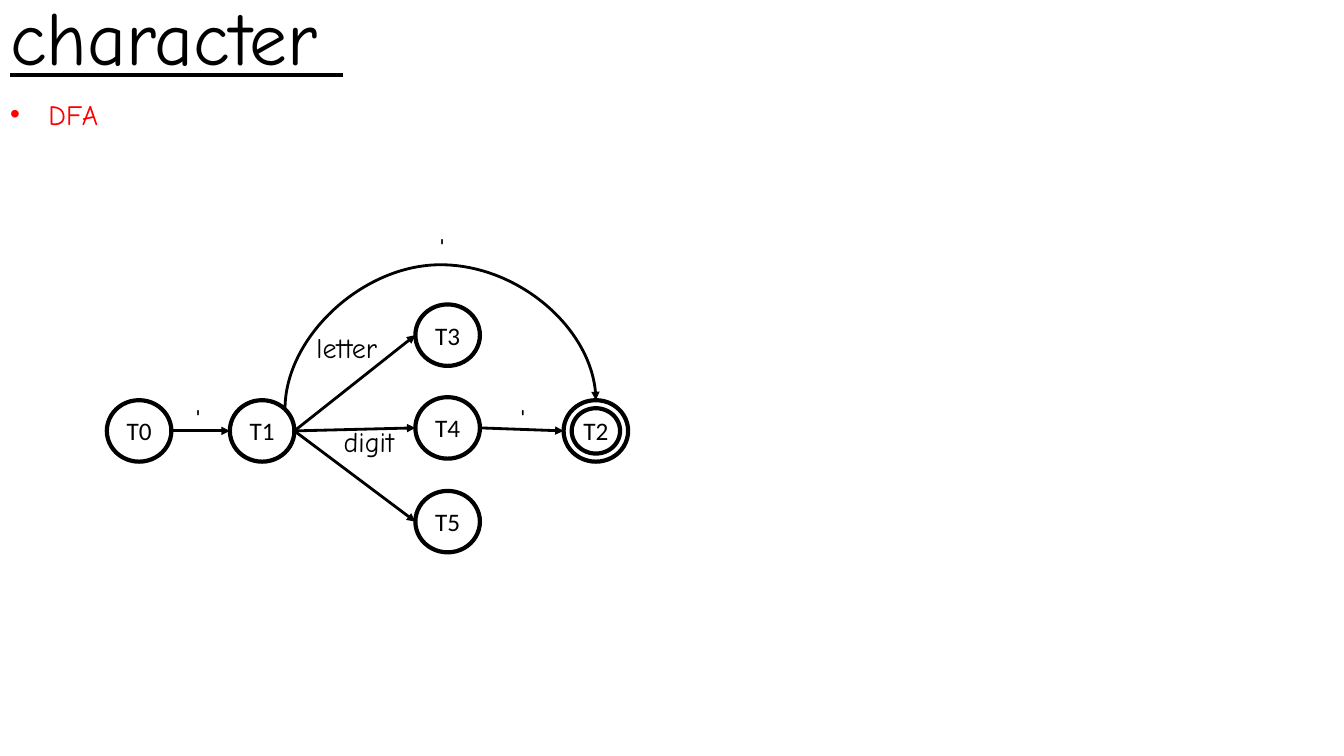
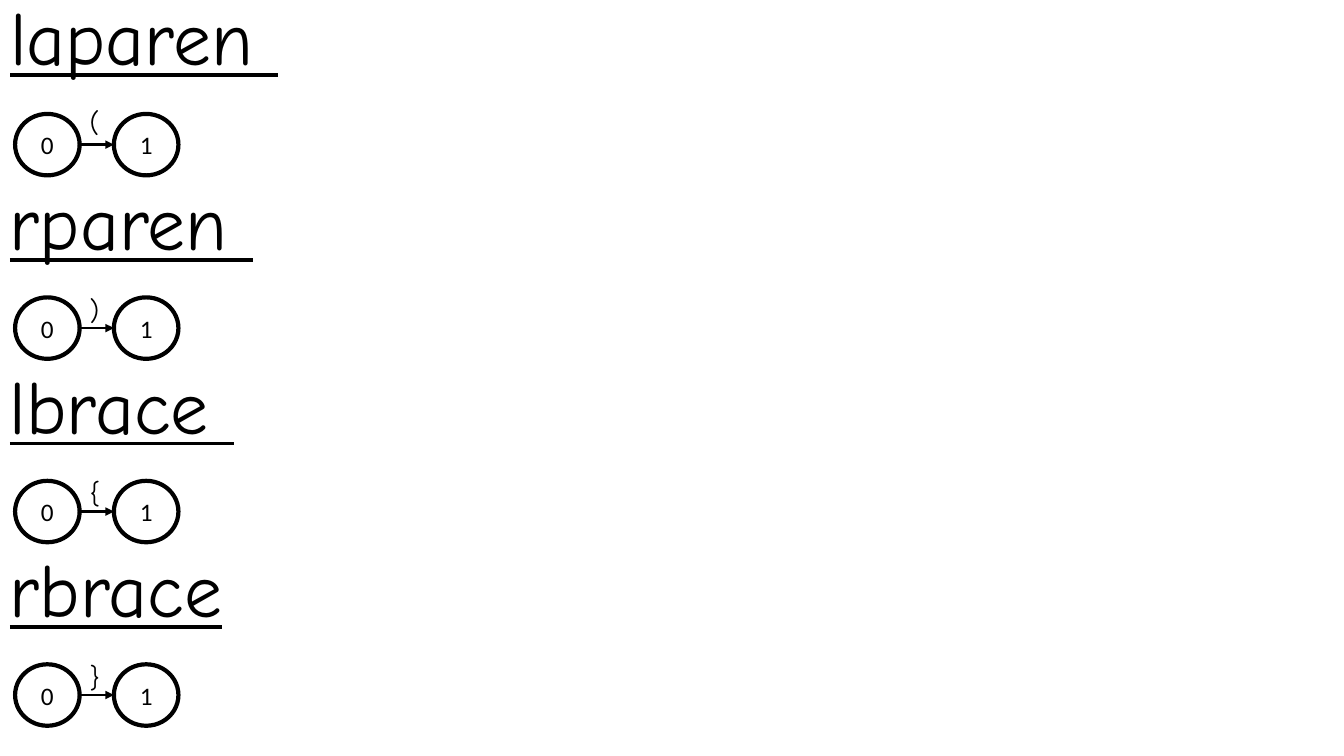
from lxml.etree import SubElement as Sub
from pptx import Presentation as Deck
from pptx.dml.color import RGBColor as Rgb
from pptx.enum.shapes import MSO_CONNECTOR as Wire, MSO_SHAPE as Form
from pptx.enum.text import MSO_ANCHOR as Anchor, MSO_AUTO_SIZE as Fit, PP_ALIGN as Align
from pptx.oxml.ns import qn
from pptx.util import Inches, Pt

HAND, PLAIN = "Comic Neue", "Calibri"
BLACK, RED = "000000", "FF0000"
WIDE, TALL = 0.64, 0.61  # size of a state
# Connection sites of an ellipse
TOP, LEFT, RIGHT, CORNER = 0, 2, 6, 7
SITES = {TOP: (0, -1), LEFT: (-1, 0), RIGHT: (1, 0), CORNER: (0.71, -0.71)}

HEAD = {"size": Pt(54), "name": HAND, "underline": True}
NOTE = {"size": Pt(20), "name": HAND}
MARK = {"size": Pt(18), "name": PLAIN}
LOOSE = {"line_spacing": 0.9, "space_before": Pt(10), "alignment": Align.LEFT}


def hue(code):
    return Rgb.from_string(code)


def put(item, values):
    for name, value in values.items():
        setattr(item, name, value)


def spot(state, site):
    """Point of a state's rim at one connection site."""
    across, down = SITES[site]
    x = state.left + state.width / 2 * (1 + across)
    y = state.top + state.height / 2 * (1 + down)
    return int(x), int(y)


class Page:
    """House style together with the slide being drawn."""

    def __init__(self, deck, layout):
        self.slide = deck.slides.add_slide(deck.slide_layouts[layout])
        self.shapes = self.slide.shapes

    # Text
    def label(self, shape, text, font, para, color=BLACK, anchor=Anchor.TOP, wrap=True):
        frame = shape.text_frame
        put(frame, {"word_wrap": wrap, "auto_size": Fit.NONE, "vertical_anchor": anchor})
        line = frame.paragraphs[0]
        put(line, para)
        run = line.add_run()
        run.text = text
        put(run.font, font)
        run.font.color.rgb = hue(color)
        return line

    def place(self, shape, x, y, w, h):
        put(shape, {"left": Inches(x), "top": Inches(y),
                    "width": Inches(w), "height": Inches(h)})
        return shape

    def box(self, x, y, w, h):
        return self.shapes.add_textbox(Inches(x), Inches(y), Inches(w), Inches(h))

    def head(self, text, y=0):
        area = (0, y, 10, 0.86)
        shape = self.box(*area) if y else self.place(self.shapes.title, *area)
        para = {"line_spacing": 0.8 if y else 0.9, "alignment": Align.LEFT}
        self.label(shape, text, HEAD, para, anchor=Anchor.BOTTOM)

    def bullet(self, text):
        body = self.place(self.slide.placeholders[1], 0, 0.95, 13.33, 0.53)
        line = self.label(body, text, NOTE, LOOSE, RED)
        props = line._p.get_or_add_pPr()
        indent = Inches(0.38)
        props.set("marL", str(indent))
        props.set("indent", str(-indent))
        Sub(props, qn("a:buFont")).set("typeface", "Arial")
        Sub(props, qn("a:buChar")).set("char", "•")

    def note(self, text, x, y, w=0.5, h=0.61):
        self.label(self.box(x, y, w, h), text, NOTE, LOOSE)

    # States
    def ring(self, x, y, w, h):
        shape = self.shapes.add_shape(Form.OVAL, Inches(x), Inches(y), Inches(w), Inches(h))
        shape.shadow.inherit = False
        shape.fill.background()
        shape.line.color.rgb = hue(BLACK)
        shape.line.width = Pt(3)
        return shape

    def state(self, text, x, y):
        shape = self.ring(x, y, WIDE, TALL)
        self.label(shape, text, MARK, {"alignment": Align.CENTER},
                   anchor=Anchor.MIDDLE, wrap=False)
        return shape

    # Arrows
    def link(self, start, end, out=RIGHT, into=LEFT, kind=Wire.STRAIGHT):
        wire = self.shapes.add_connector(kind, *spot(start, out), *spot(end, into))
        wire.line.color.rgb = hue(BLACK)
        wire.line.width = Pt(2)
        props = wire.element.spPr
        Sub(props.find(qn("a:ln")), qn("a:tailEnd")).set("type", "triangle")
        Sub(props, qn("a:effectLst"))
        # begin_connect knows only four sites, an ellipse has eight
        joins = wire.element.nvCxnSpPr.cNvCxnSpPr
        for tag, state, site in (("a:stCxn", start, out), ("a:endCxn", end, into)):
            join = Sub(joins, qn(tag))
            join.set("id", str(state.shape_id))
            join.set("idx", str(site))
        return wire

    def arc(self, start, end, rise):
        """Curve that leaves a state's corner and drops on top of another."""
        wire = self.link(start, end, CORNER, TOP, Wire.CURVE)
        (x1, y1), (x2, y2) = spot(start, CORNER), spot(end, TOP)
        span, drop = x2 - x1, y1 - y2
        # The preset runs sideways, so its frame is turned a quarter
        put(wire, {"left": (x1 + x2 - drop) // 2, "top": (y1 + y2 - span) // 2,
                   "width": drop, "height": span})
        props = wire.element.spPr
        frame = props.find(qn("a:xfrm"))
        for name, value in (("rot", "5400000"), ("flipH", "1"), ("flipV", "1")):
            frame.set(name, value)
        guide = Sub(props.find(qn("a:prstGeom")).find(qn("a:avLst")), qn("a:gd"))
        guide.set("name", "adj1")
        guide.set("fmla", f"val {round(Inches(rise) / drop * 100000)}")


def draw_char(deck):
    page = Page(deck, 0)
    page.head("character ")
    page.bullet("DFA")

    # States, with a second ring on the final one
    spots = {"T0": (1.06, 3.97), "T1": (2.28, 3.97), "T2": (5.59, 3.97),
             "T3": (4.12, 3.02), "T4": (4.12, 3.94), "T5": (4.12, 4.87)}
    states = {name: page.state(name, *at) for name, at in spots.items()}
    page.ring(5.67, 4.05, 0.48, 0.45)

    # Moves between states
    for move in ("T0 T1", "T1 T3", "T1 T4", "T1 T5", "T4 T2"):
        start, end = move.split()
        page.link(states[start], states[end])
    page.arc(states["T1"], states["T2"], 1.43)

    # Symbols read on each move
    for x, y in ((1.84, 3.97), (4.26, 2.28), (5.06, 3.97)):
        page.note("'", x, y)
    page.note("letter", 3.04, 3.27, 1.96)
    page.note("digit", 3.31, 4.2, 1.96)


def draw_marks(deck):
    page = Page(deck, 5)
    step = 1.82
    rows = (("laparen ", "(", 1.03), ("rparen ", ")", 1.07),
            ("lbrace ", "{", 1.07), ("rbrace", "}", 1.07))
    for row, (name, sign, drop) in enumerate(rows):
        y = row * step
        page.head(name, y)
        start = page.state("0", 0.15, y + 1.13)
        end = page.state("1", 1.13, y + 1.13)
        page.link(start, end)
        page.note(sign, 0.79, y + drop, 0.55, 0.69)


def main():
    deck = Deck()
    put(deck, {"slide_width": Inches(13.33), "slide_height": Inches(7.5)})
    draw_char(deck)
    draw_marks(deck)
    deck.save("out.pptx")


if __name__ == "__main__":
    main()
